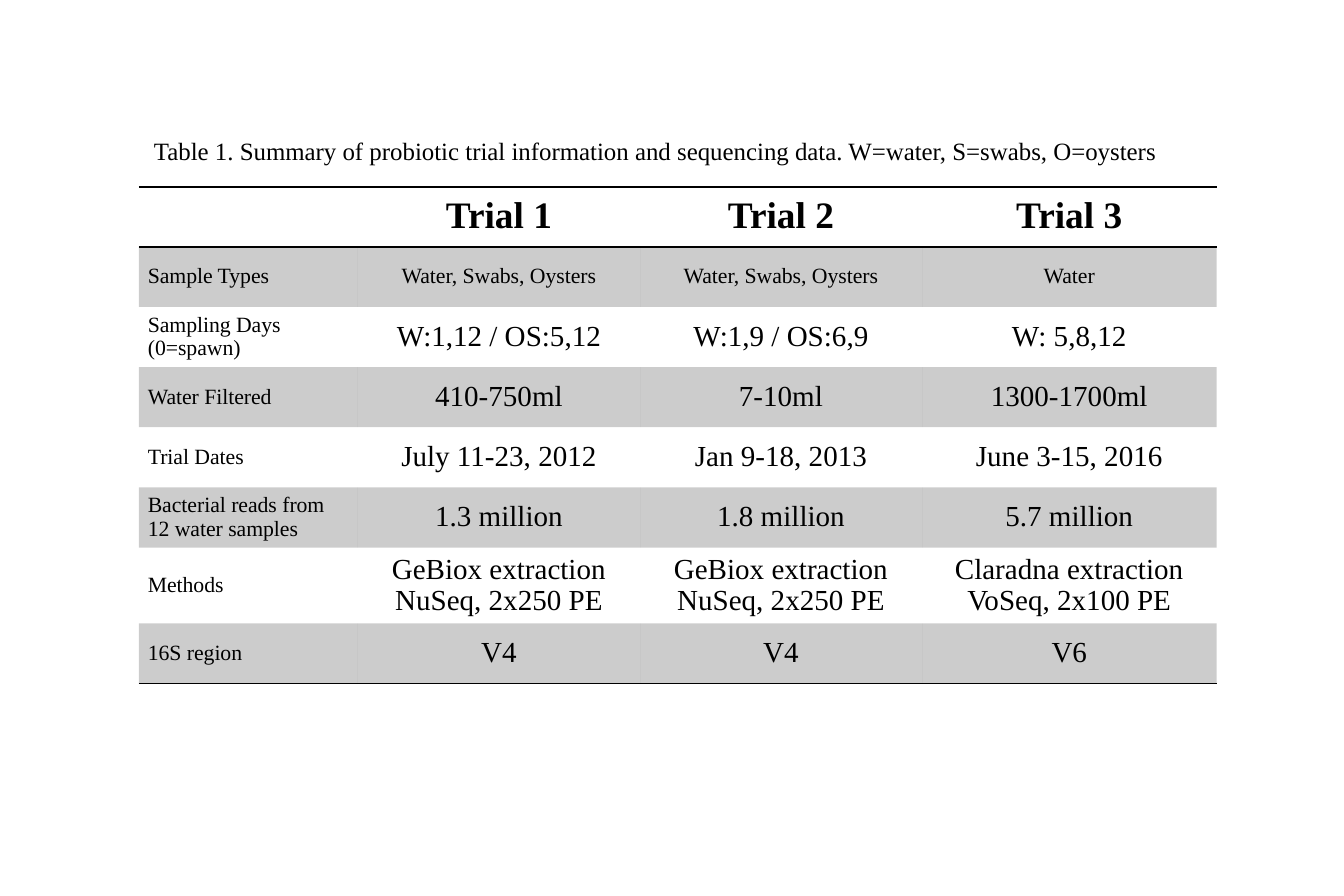
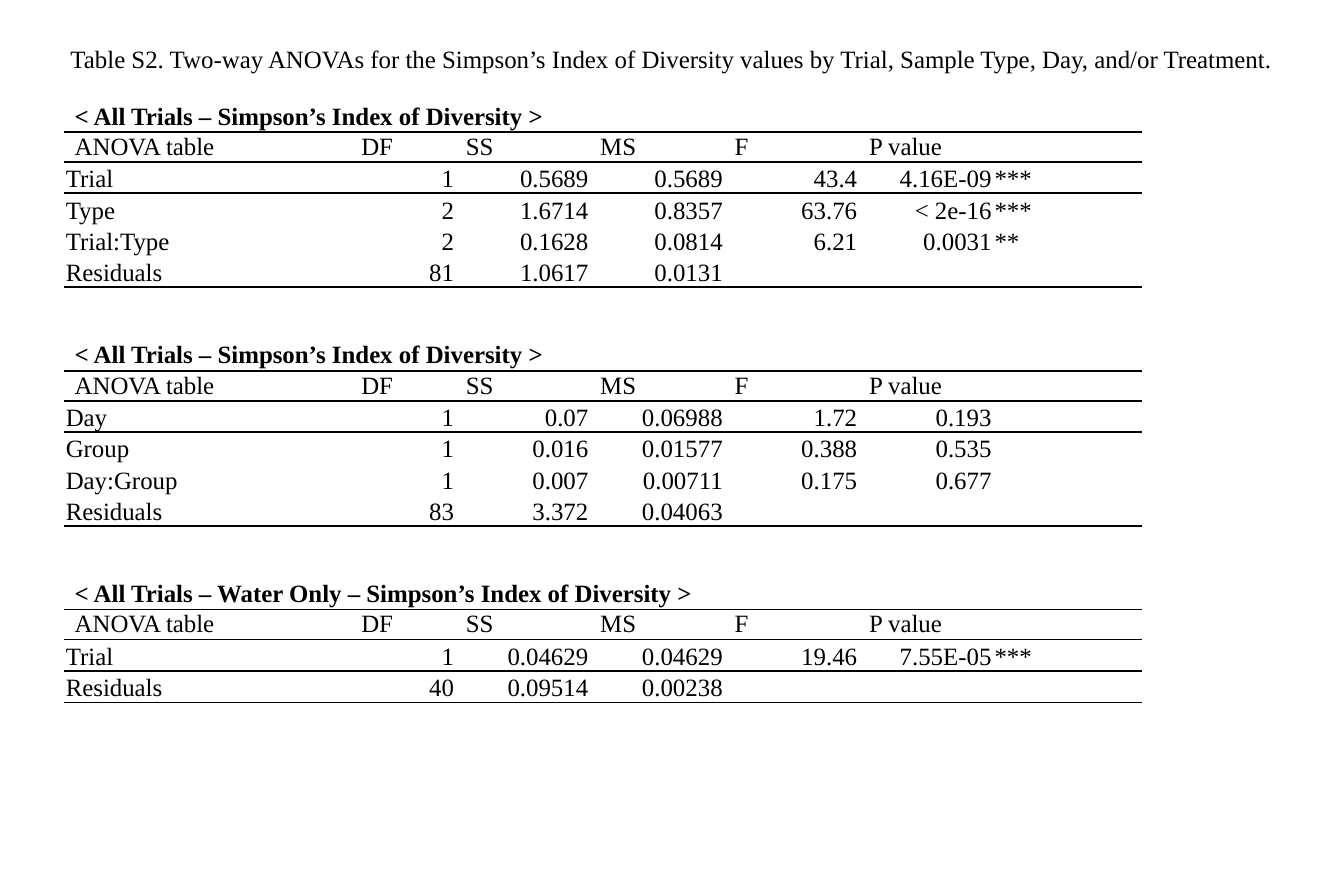
from dataclasses import dataclass

from lxml import etree
from pptx import Presentation
from pptx import util as u
from pptx.dml.color import RGBColor
from pptx.enum import text as t
from pptx.oxml.ns import qn

# Shared look
FONT = "Times New Roman"
INK = "000000"
PLAIN = "{2D5ABB26-0587-4C30-8999-92F81FD0307C}"  # no style, no grid
LEFT, MID, RIGHT = t.PP_ALIGN.LEFT, t.PP_ALIGN.CENTER, t.PP_ALIGN.RIGHT
SIDES = ("margin_left", "margin_top", "margin_right", "margin_bottom")


@dataclass(frozen=True)
class Look:
    """Format of one cell."""
    size: float
    align: t.PP_ALIGN
    anchor: t.MSO_ANCHOR
    inset: tuple[float, ...]
    bold: bool = False
    lead: float = 1.0
    rules: str = ""
    shade: bool = False


@dataclass(frozen=True)
class Anova:
    """One analysis: heading and data rows."""
    head: str
    rows: list[str]


def tint(code: str) -> RGBColor:
    return RGBColor.from_string(code)


def style(item, **vals) -> None:
    for key, val in vals.items():
        setattr(item, key, val)


def ink(font, size: float, bold: bool = False) -> None:
    style(font, name=FONT, size=u.Pt(size), bold=bold)
    font.color.rgb = tint(INK)


def title(slide, words: str, left: float, top: float, width: float) -> None:
    box = slide.shapes.title
    style(box, left=u.Pt(left), top=u.Pt(top), width=u.Pt(width), height=u.Pt(21.6))
    frame = box.text_frame
    style(frame, text=words, word_wrap=True, vertical_anchor=t.MSO_ANCHOR.TOP,
          auto_size=t.MSO_AUTO_SIZE.SHAPE_TO_FIT_TEXT)
    para = frame.paragraphs[0]
    para.alignment = LEFT
    ink(para.runs[0].font, 12)


def rule(cell, side: str) -> None:
    line = etree.SubElement(cell._tc.get_or_add_tcPr(), qn(f"a:ln{side}"), w=str(u.Pt(1)))
    fill = etree.SubElement(line, qn("a:solidFill"))
    etree.SubElement(fill, qn("a:srgbClr"), val=INK)


def write(cell, words: str, look: Look) -> None:
    # Borders come before the fill in the cell properties
    for side in look.rules:
        rule(cell, side)
    if look.shade:
        cell.fill.solid()
        cell.fill.fore_color.rgb = tint(INK)
        hue = next(cell._tc.tcPr.iter(qn("a:srgbClr"), ), None) if not look.rules else \
            cell._tc.tcPr.find(qn("a:solidFill")).find(qn("a:srgbClr"))
        etree.SubElement(hue, qn("a:alpha"), val="20000")
    else:
        cell.fill.background()
    style(cell, vertical_anchor=look.anchor, **{k: u.Pt(v) for k, v in zip(SIDES, look.inset)})
    cell.text_frame.text = words
    for para in cell.text_frame.paragraphs:
        style(para, alignment=look.align, line_spacing=look.lead)
        for run in para.runs:
            ink(run.font, look.size, look.bold)
        if not para.runs:  # keeps blank cells from growing the row
            etree.SubElement(para._p, qn("a:endParaRPr"), sz=str(int(look.size * 100)))


def grid(slide, left: float, top: float, cols: list[float], rows: list[float]):
    frame = slide.shapes.add_table(len(rows), len(cols), u.Pt(left), u.Pt(top),
                                   u.Pt(sum(cols)), u.Pt(sum(rows)))
    table = frame.table
    style(table, first_row=False, horz_banding=False)
    table._tbl.tblPr.find(qn("a:tableStyleId")).text = PLAIN
    for col, width in zip(table.columns, cols):
        col.width = u.Pt(width)
    for row, height in zip(table.rows, rows):
        row.height = u.Pt(height)
    return table


# Slide 1: trial summary
TRIALS = [
    ["", "Trial 1", "Trial 2", "Trial 3"],
    ["Sample Types", "Water, Swabs, Oysters", "Water, Swabs, Oysters", "Water"],
    ["Sampling Days\n(0=spawn)", "W:1,12 / OS:5,12", "W:1,9 / OS:6,9", "W: 5,8,12"],
    ["Water Filtered", "410-750ml", "7-10ml", "1300-1700ml"],
    ["Trial Dates", "July 11-23, 2012", "Jan 9-18, 2013", "June 3-15, 2016"],
    ["Bacterial reads from 12 water samples", "1.3 million", "1.8 million", "5.7 million"],
    ["Methods", "GeBiox extraction\nNuSeq, 2x250 PE", "GeBiox extraction\nNuSeq, 2x250 PE",
     "Claradna extraction\nVoSeq, 2x100 PE"],
    ["16S region", "V4", "V4", "V6"],
]


def trials(slide) -> None:
    title(slide, "Table 1. Summary of probiotic trial information and sequencing data. "
          "W=water, S=swabs, O=oysters", 67, 62, 519)
    last = len(TRIALS) - 1
    highs = [29.0] * len(TRIALS)
    highs[TRIALS.index(next(r for r in TRIALS if r[0] == "Methods"))] = 33.1
    table = grid(slide, 67, 90, [105.6, 136, 136, 142], highs)
    for r, row in enumerate(TRIALS):
        for c, words in enumerate(row):
            size = 18 if r == 0 else 10.5 if r == 1 or c == 0 else 14
            look = Look(size, MID if c else LEFT, t.MSO_ANCHOR.MIDDLE, (4.3, 2.16, 4.3, 2.16),
                        bold=r == 0, lead=0.96, shade=r % 2 == 1,
                        rules={0: "TB", last: "B"}.get(r, ""))
            write(table.cell(r, c), words, look)


# Slide 2: analyses of variance, cells parted by bars
HEADS = "ANOVA table|DF|SS|MS|F|P value"
COLS = [138.2, 50.4, 64.8, 64.8, 64.8, 64.8, 72]
ANOVAS = [
    Anova("< All Trials – Simpson’s Index of Diversity >", [
        "Trial|1|0.5689|0.5689|43.4|4.16E-09|***",
        "Type|2|1.6714|0.8357|63.76|< 2e-16|***",
        "Trial:Type|2|0.1628|0.0814|6.21|0.0031|**",
        "Residuals|81|1.0617|0.0131"]),
    Anova("< All Trials – Simpson’s Index of Diversity >", [
        "Day|1|0.07|0.06988|1.72|0.193",
        "Group|1|0.016|0.01577|0.388|0.535",
        "Day:Group|1|0.007|0.00711|0.175|0.677",
        "Residuals|83|3.372|0.04063"]),
    Anova("< All Trials – Water Only – Simpson’s Index of Diversity >", [
        "Trial|1|0.04629|0.04629|19.46|7.55E-05|***",
        "Residuals|40|0.09514|0.00238"]),
]


def anova(slide, data: Anova, top: float) -> None:
    rows = [data.head, HEADS, *data.rows]
    table = grid(slide, 31, top, COLS, [14.5] * 2 + [15.1] * len(data.rows))
    table.cell(0, 0).merge(table.cell(0, 5))
    edges = {0: "B", 1: "TB", 2: "T", len(rows) - 1: "B"}
    for r, row in enumerate(rows):
        words = row.split("|")
        words += [""] * (len(COLS) - len(words))
        for c, word in enumerate(words):
            if r < 2:
                look = Look(12, LEFT, t.MSO_ANCHOR.MIDDLE, (5, 0, 5, 0),
                            bold=r == 0, rules=edges[r])
            else:
                look = Look(12, RIGHT if 0 < c < 6 else LEFT, t.MSO_ANCHOR.BOTTOM,
                            (0.72, 0.72, 0.72, 0), rules=edges.get(r, ""))
            write(table.cell(r, c), word, look)


def anovas(slide) -> None:
    title(slide, "Table S2. Two-way ANOVAs for the Simpson’s Index of Diversity values "
          "by Trial, Sample Type, Day, and/or Treatment.", 26.8, 17.3, 605)
    for n, data in enumerate(ANOVAS):
        anova(slide, data, 49 + 115.2 * n)


def main() -> None:
    deck = Presentation()
    style(deck, slide_width=u.Pt(648), slide_height=u.Pt(432))
    for draw in (trials, anovas):
        draw(deck.slides.add_slide(deck.slide_layouts[5]))
    deck.save("out.pptx")


if __name__ == "__main__":
    main()
